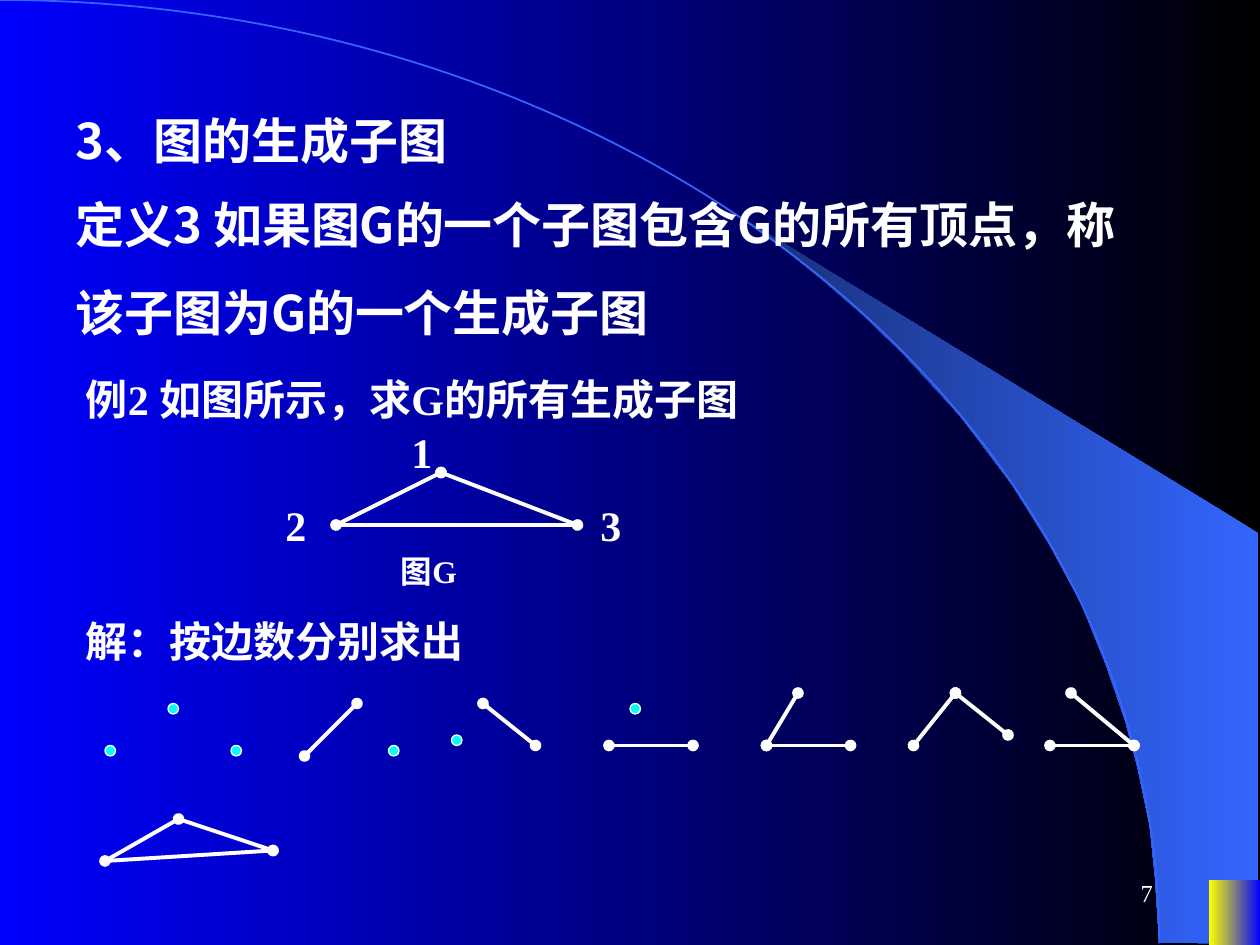
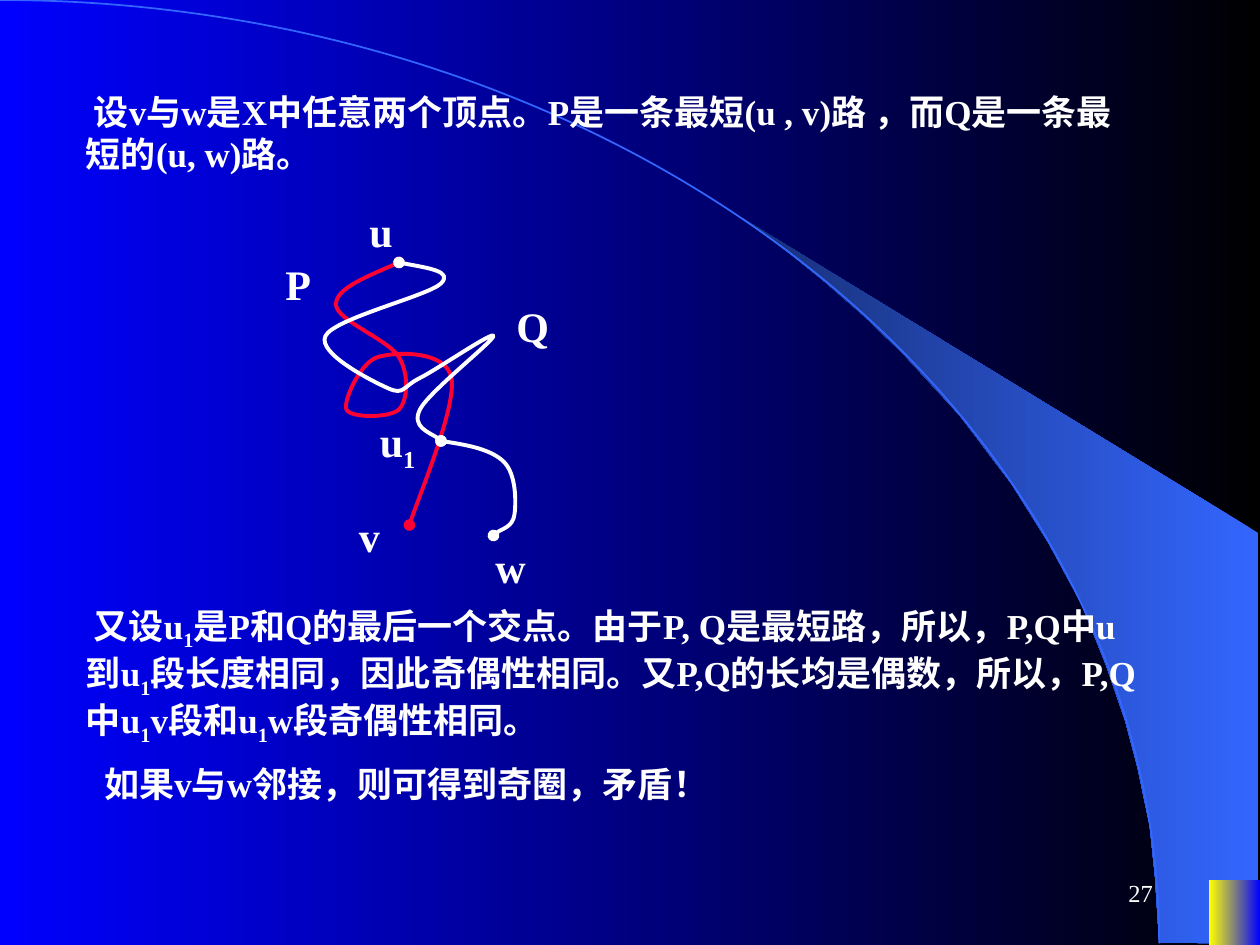
"""Build two graph theory slides: spanning subgraphs and shortest paths."""
import lxml.etree
import pptx
import pptx.dml.color
import pptx.enum.shapes
import pptx.enum.text
import pptx.oxml.ns
import pptx.util

Pt = pptx.util.Pt
qn = pptx.oxml.ns.qn
SHAPE = pptx.enum.shapes.MSO_SHAPE
STRAIGHT = pptx.enum.shapes.MSO_CONNECTOR.STRAIGHT
ALIGN = pptx.enum.text.PP_ALIGN
ANCHOR = pptx.enum.text.MSO_ANCHOR
FIT = pptx.enum.text.MSO_AUTO_SIZE
COLOURS = {
    name: pptx.dml.color.RGBColor.from_string(value)
    for name, value in {
        "black": "000000", "blue": "0000FF", "sky": "3366FF", "navy": "172F75",
        "yellow": "FFFF00", "white": "FFFFFF", "cyan": "00FFFF", "red": "FF0033",
    }.items()
}
SERIF = "Times New Roman"
SANS = "Noto Sans CJK SC"


def write(sp, box, paragraphs, size, font=SERIF, bold=True, line=None, before=0,
          align=ALIGN.LEFT, anchor=ANCHOR.TOP, fit=FIT.SHAPE_TO_FIT_TEXT):
    """Place a text shape and fill it; text between bars is subscript."""
    sp.left, sp.top, sp.width, sp.height = [Pt(v) for v in box]
    tf = sp.text_frame
    tf.word_wrap = True
    tf.auto_size = fit
    tf.vertical_anchor = anchor
    for i, text in enumerate(paragraphs):
        p = tf.add_paragraph() if i else tf.paragraphs[0]
        p.alignment = align
        p.space_before = Pt(before if i else 0)
        if line:
            p.line_spacing = Pt(line)
        for j, part in enumerate(text.split("|")):
            r = p.add_run()
            r.text = part
            r.font.size, r.font.bold, r.font.name = Pt(size), bold, font
            r.font.color.rgb = COLOURS["white"]
            rPr = r._r.get_or_add_rPr()
            lxml.etree.SubElement(rPr, qn("a:ea")).set("typeface", SANS)
            if j % 2:
                rPr.set("baseline", "-25000")


def stroke(sp, colour, dots=True):
    """Give a line its colour and width, with round dots at both ends if asked."""
    sp.line.color.rgb = COLOURS[colour]
    sp.line.width = Pt(2.25)
    if dots:
        ln = sp._element.spPr.find(qn("a:ln"))
        for end in ("a:headEnd", "a:tailEnd"):
            lxml.etree.SubElement(ln, qn(end)).set("type", "oval")


prs = pptx.Presentation()
prs.slide_width, prs.slide_height = Pt(720), Pt(540)
subgraphs = prs.slides.add_slide(prs.slide_layouts[5])
paths = prs.slides.add_slide(prs.slide_layouts[6])

s = subgraphs
wedge = [(662.4, 538.6), (719, 539.3), (719, 304.6), (424, 124.6), (449.3, 143.3),
         (470, 160), (493, 180), (515.5, 201.6), (548.6, 237.6), (578, 276.5), (599, 310),
         (618, 345), (632, 380), (643, 412), (650, 438.5), (657, 472), (660, 501),
         (662.4, 538.6)]
builder = s.shapes.build_freeform(Pt(wedge[0][0]), Pt(wedge[0][1]))
builder.add_line_segments([(Pt(x), Pt(y)) for x, y in wedge[1:]], close=False)
beam = builder.convert_to_shape()
arc = s.shapes.add_shape(SHAPE.ARC, Pt(-662.4), Pt(0), Pt(1324.8), Pt(1078))
corner = s.shapes.add_shape(SHAPE.RECTANGLE, Pt(691), Pt(502.6), Pt(29), Pt(37.4))
arc.fill.background()
arc.line.color.rgb = COLOURS["sky"]
arc.line.width = Pt(1)
for sp in (beam, corner):
    sp.line.fill.background()
for fill, start, end in ((prs.slide_master.background.fill, "black", "blue"),
                         (beam.fill, "sky", "navy"), (corner.fill, "blue", "yellow")):
    fill.gradient()
    fill.gradient_angle = 180
    for stop, colour in zip(fill.gradient_stops, (start, end)):
        stop.color.rgb = COLOURS[colour]
for sp in (beam, arc, corner):
    sp.shadow.inherit = False
    prs.slide_master.shapes._spTree.append(sp._element)

write(s.shapes.title, (36, 60, 654, 41), ["3、图的生成子图"], 28, SANS, line=33)
write(s.shapes.add_textbox(0, 0, 0, 0), (36, 108, 654, 92),
      ["定义3 如果图G的一个子图包含G的所有顶点，称", "该子图为G的一个生成子图"],
      28, SANS, line=33, before=17.5)
for x, y, w, text, size, line in (
    (42, 210, 648, "例2 如图所示，求G的所有生成子图", 24, 28.8),
    (228, 240, 31, "1", 24, None),
    (156, 282, 31, "2", 24, None),
    (336, 282, 31, "3", 24, None),
    (222, 312, 66, "图G", 18, 21.6),
    (42, 348, 648, "解：按边数分别求出", 24, 28.8),
):
    write(s.shapes.add_textbox(0, 0, 0, 0), (x, y, w, 1.2 * size + 7.2), [text], size,
          line=line)

plain_edges = [(192, 300, 330, 300), (102, 468, 60, 492)]
dotted_edges = [
    (252, 270, 192, 300), (252, 270, 330, 300),
    (204, 402, 174, 432), (276, 402, 306, 426), (348, 426, 396, 426),
    (456, 396, 438, 426), (438, 426, 486, 426),
    (546, 396, 522, 426), (546, 396, 576, 420),
    (600, 426, 648, 426), (612, 396, 648, 426),
    (102, 468, 156, 486), (60, 492, 156, 486),
]
for edge in plain_edges + dotted_edges:
    sp = s.shapes.add_connector(STRAIGHT, *[Pt(v) for v in edge])
    stroke(sp, "white", dots=edge in dotted_edges)
    lxml.etree.SubElement(sp._element.spPr, qn("a:effectLst"))
for x, y in ((96, 402), (60, 426), (132, 426), (222, 426), (258, 420), (360, 402)):
    sp = s.shapes.add_shape(SHAPE.OVAL, Pt(x), Pt(y), Pt(6), Pt(6))
    sp.shadow.inherit = False
    sp.fill.solid()
    sp.fill.fore_color.rgb = COLOURS["cyan"]
    sp.line.color.rgb = COLOURS["white"]
    sp.line.width = Pt(0.75)

s = paths
path_p = [(228, 150), (210, 158), (192, 165), (192, 174), (192, 183), (222, 194), (228, 204),
          (234, 214), (233, 229), (228, 234), (223, 239), (200, 239), (198, 234),
          (196, 229), (206, 207), (216, 204), (226, 201), (255, 200), (258, 216),
          (261, 232), (238, 287), (234, 300)]
path_q = [(228, 150), (243, 153), (259, 155), (252, 162), (245, 169), (191, 182), (186, 192),
          (181, 202), (213, 218), (222, 222), (231, 226), (230, 221), (240, 216),
          (250, 211), (282, 189), (282, 192), (282, 195), (245, 224), (240, 234),
          (235, 244), (250, 249), (252, 252)]
path_q_end = [(252, 252), (266, 254), (281, 257), (288, 264), (295, 271), (295, 287),
              (294, 294), (293, 301), (284, 303), (282, 306)]
for points, colour in ((path_p, "red"), (path_q, "white"), (path_q_end, "white")):
    builder = s.shapes.build_freeform(Pt(points[0][0]), Pt(points[0][1]))
    builder.add_line_segments([(Pt(x), Pt(y)) for x, y in points[1:]], close=False)
    sp = builder.convert_to_shape()
    sp.shadow.inherit = False
    sp.fill.background()
    stroke(sp, colour)
    outline = sp._element.spPr.find(".//" + qn("a:path"))
    steps = outline.findall(qn("a:lnTo"))
    for first, second, third in zip(steps[::3], steps[1::3], steps[2::3]):
        first.tag = qn("a:cubicBezTo")
        for step in (second, third):
            first.append(step[0])
            outline.remove(step)

for x, y, w, h, text in (
    (288, 168, 67, 36, "Q"), (156, 144, 67, 36, "P"), (198, 288, 55, 36, "v"),
    (204, 114, 55, 36, "u"), (276, 306, 55, 36, "w"), (210, 234, 55, 40, "u|1|"),
):
    write(s.shapes.add_textbox(0, 0, 0, 0), (x, y, w, h), [text.rstrip("|")], 24)
for x, y, h, line, text in (
    (42, 48, 55, 24, " 设v与w是X中任意两个顶点。P是一条最短(u , v)路 ，而Q是一条最短的(u, w)路。"),
    (42, 342, 89, 27, " 又设u|1|是P和Q的最后一个交点。由于P, Q是最短路，所以，P,Q中u到u|1|"
     "段长度相同，因此奇偶性相同。又P,Q的长均是偶数，所以，P,Q中u|1|v段和u|1|w段奇偶性相同。"),
    (48, 432, 32, 24, " 如果v与w邻接，则可得到奇圈，矛盾！"),
):
    write(s.shapes.add_textbox(0, 0, 0, 0), (x, y, 618, h), [text], 20, line=line)

for s, number in ((subgraphs, "7"), (paths, "27")):
    write(s.shapes.add_textbox(0, 0, 0, 0), (516, 492, 150, 36), [number], 14, bold=False,
          align=ALIGN.RIGHT, anchor=ANCHOR.MIDDLE, fit=FIT.NONE)

prs.save("out.pptx")
